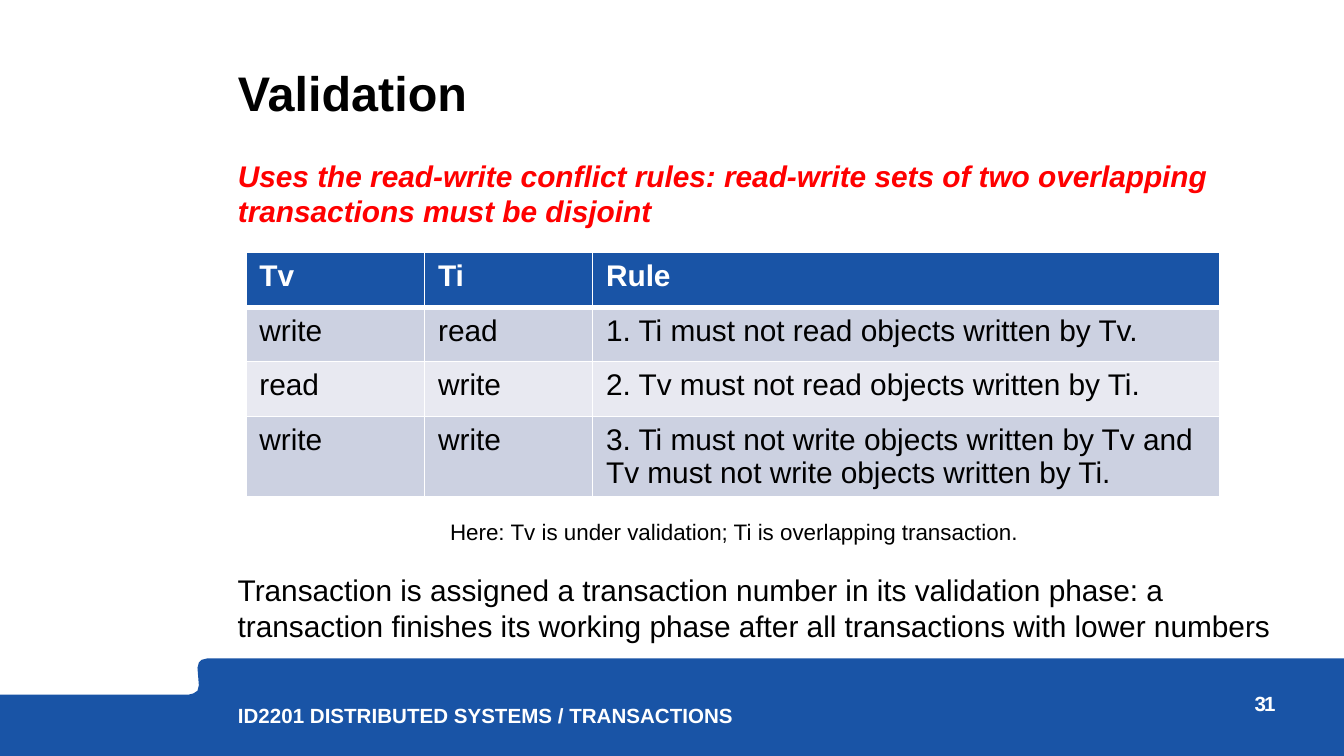
"""Build the validation rules slide of a lecture on distributed transactions."""
from dataclasses import dataclass

from lxml.etree import SubElement
from pptx import Presentation
from pptx.dml.color import RGBColor
from pptx.enum.text import MSO_ANCHOR, MSO_AUTO_SIZE, PP_ALIGN
from pptx.oxml.ns import qn
from pptx.util import Inches, Pt


@dataclass(frozen=True)
class Theme:
    font: str = "Arial"
    blue: str = "1954A6"
    red: str = "FF0000"
    black: str = "000000"
    white: str = "FFFFFF"
    bands: tuple = ("CCD1E1", "E8E9F1")
    title: int = 26
    body: int = 16
    note: int = 12
    footer: int = 11


theme = Theme()


def format_runs(paragraph, size, color, bold=False, italic=False):
    for run in paragraph.runs:
        run.font.name = theme.font
        run.font.size = Pt(size)
        run.font.bold = bold
        run.font.italic = italic
        run.font.color.rgb = RGBColor.from_string(color)


def place_text(shape, left, top, width, height, inset=0):
    shape.left, shape.top = Inches(left), Inches(top)
    shape.width, shape.height = Inches(width), Inches(height)
    frame = shape.text_frame
    frame.word_wrap = True
    frame.auto_size = MSO_AUTO_SIZE.NONE
    frame.vertical_anchor = MSO_ANCHOR.TOP
    frame.margin_left = frame.margin_right = Inches(inset)
    frame.margin_top = frame.margin_bottom = Inches(inset / 2)
    return frame


presentation = Presentation()
presentation.slide_width = Inches(10)
presentation.slide_height = Inches(10) * 9 // 16
slide = presentation.slides.add_slide(presentation.slide_layouts[1])
shapes = slide.shapes
title, body = shapes.title, slide.placeholders[1]

band_points = [
    (10, 4.9), (10, 5.64), (0, 5.64), (0, 5.17), (1.4, 5.17), (1.44, 5.16),
    (1.47, 5.14), (1.48, 5.1), (1.47, 4.97), (1.48, 4.93), (1.5, 4.91),
]
builder = shapes.build_freeform(Inches(1.54), Inches(4.9))
builder.add_line_segments([(Inches(x), Inches(y)) for x, y in band_points])
footer_band = builder.convert_to_shape()
footer_band.shadow.inherit = False
footer_band.fill.solid()
footer_band.fill.fore_color.rgb = RGBColor.from_string(theme.blue)
footer_band.line.fill.background()

frame = place_text(title, 1.77, 0.35, 7.59, 0.55)
frame.vertical_anchor = MSO_ANCHOR.BOTTOM
frame.text = "Validation"
paragraph = frame.paragraphs[0]
paragraph.alignment = PP_ALIGN.LEFT
paragraph.line_spacing = Pt(30)
format_runs(paragraph, theme.title, theme.black, bold=True)

frame = place_text(body, 1.77, 1.17, 7.59, 0.73)
frame.text = (
    "Uses the read-write conflict rules: read-write sets of two overlapping "
    "transactions must be disjoint"
)
paragraph = frame.paragraphs[0]
paragraph.space_before = Pt(0)
properties = paragraph._p.get_or_add_pPr()
properties.set("marL", "0")
properties.set("indent", "0")
SubElement(properties, qn("a:buNone"))
format_runs(paragraph, theme.body, theme.red, bold=True, italic=True)

footers = [
    ("31 ", 8.94, 5.17, 0.58, 0, PP_ALIGN.RIGHT, 10.9),
    ("ID2201 DISTRIBUTED SYSTEMS / TRANSACTIONS", 1.77, 5.22, 7.09, 0.07, PP_ALIGN.LEFT, 9),
]
for text, left, top, width, margin, alignment, spacing in footers:
    frame = place_text(shapes.add_textbox(0, 0, 0, 0), left, top, width, 0.3)
    frame.margin_top = Inches(margin)
    frame.text = text
    paragraph = frame.paragraphs[0]
    paragraph.alignment = alignment
    paragraph.line_spacing = Pt(spacing)
    format_runs(paragraph, theme.footer, theme.white, bold=True)
    if alignment == PP_ALIGN.RIGHT:
        paragraph.runs[0]._r.get_or_add_rPr().set("spc", "-100")

rules = [
    ("Tv", "Ti", "Rule"),
    ("write", "read", "1. Ti must not read objects written by Tv."),
    ("read", "write", "2. Tv must not read objects written by Ti."),
    ("write", "write", "3. Ti must not write objects written by Tv and\n"
     "Tv must not write objects written by Ti."),
]
table = shapes.add_table(
    4, 3, Inches(1.83), Inches(1.88), Inches(7.25), Inches(1.85)
).table
for column, width in zip(table.columns, (1.33, 1.25, 4.67)):
    column.width = Inches(width)
for row, height in zip(table.rows, (0.41, 0.4, 0.41, 0.41)):
    row.height = Inches(height)
for row_index, row in enumerate(rules):
    header = row_index == 0
    fill = theme.blue if header else theme.bands[(row_index - 1) % 2]
    for column_index, text in enumerate(row):
        cell = table.cell(row_index, column_index)
        cell.text = text
        for paragraph in cell.text_frame.paragraphs:
            format_runs(
                paragraph, theme.body, theme.white if header else theme.black, bold=header
            )
        cell_properties = cell._tc.get_or_add_tcPr()
        for side in "LRTB":
            thick = (header and side == "B") or (row_index == 1 and side == "T")
            border = SubElement(
                cell_properties, qn(f"a:ln{side}"), w=str(Pt(3 if thick else 1))
            )
            border_fill = SubElement(border, qn("a:solidFill"))
            SubElement(border_fill, qn("a:srgbClr"), val=theme.white)
        cell.fill.solid()
        cell.fill.fore_color.rgb = RGBColor.from_string(fill)

frame = place_text(shapes.add_textbox(0, 0, 0, 0), 1.67, 3.81, 7.92, 1.04, inset=0.1)
frame.text = (
    "Here: Tv is under validation; Ti is overlapping transaction.\n"
    "Transaction is assigned a transaction number in its validation phase: a "
    "transaction finishes its working phase after all transactions with lower numbers"
)
note, explanation = frame.paragraphs
note._p.get_or_add_pPr().set("marL", str(Inches(1.58)))
explanation.space_before = Pt(14)
format_runs(note, theme.note, theme.black)
format_runs(explanation, theme.body, theme.black)

presentation.save("out.pptx")
